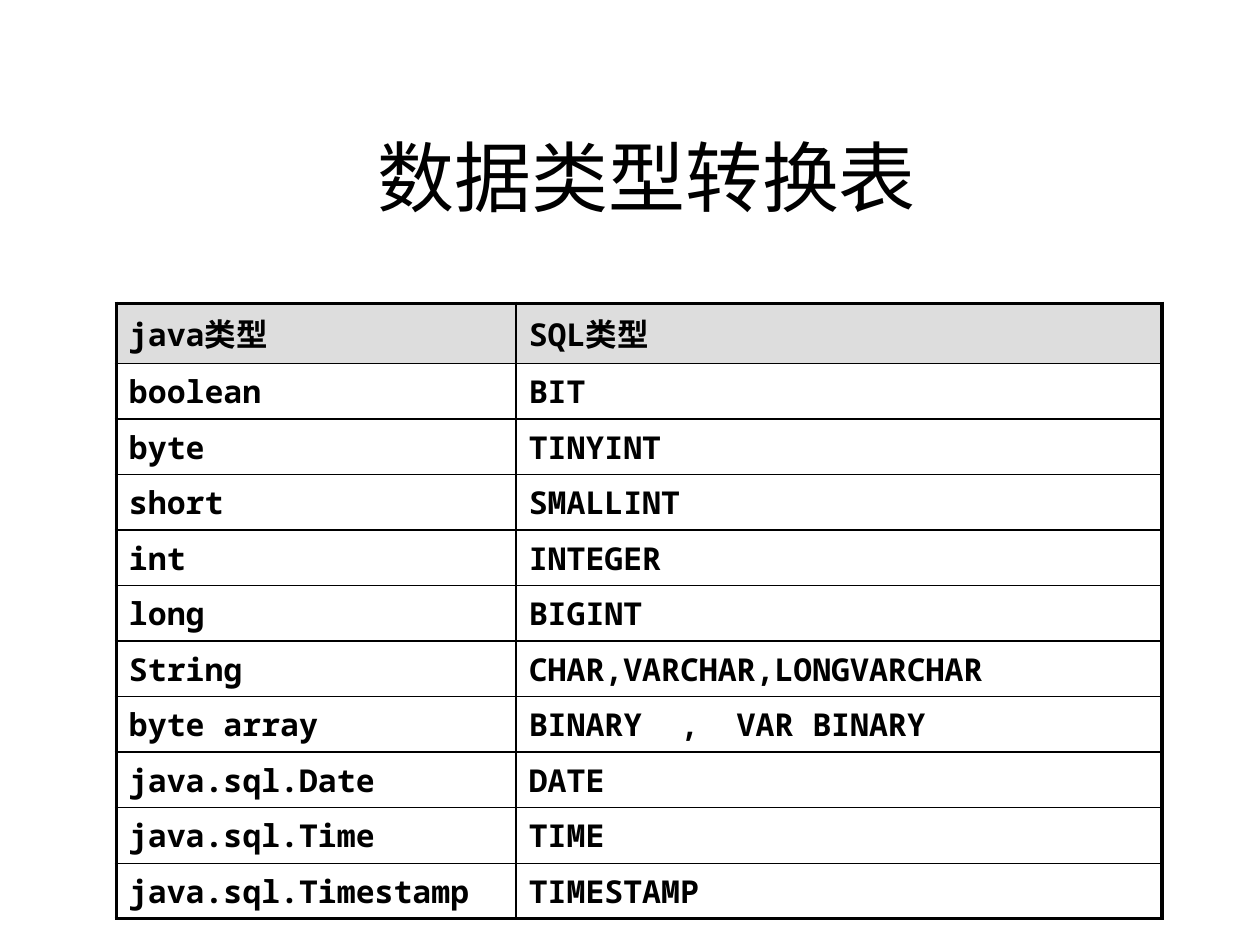
from lxml import etree
from pptx import Presentation
from pptx.dml.color import RGBColor
from pptx.enum import text
from pptx.oxml import ns
from pptx.util import Pt

COLORS = {"ink": "000000", "header": "DDDDDD"}
FONT = "Noto Sans Mono"
THIN, THICK = 1, 2.25

TYPES = [
    ("java类型", "SQL类型"),
    ("boolean", "BIT"),
    ("byte", "TINYINT"),
    ("short", "SMALLINT"),
    ("int", "INTEGER"),
    ("long", "BIGINT"),
    ("String", "CHAR,VARCHAR,LONGVARCHAR"),
    ("byte array", "BINARY  ,  VAR BINARY"),
    ("java.sql.Date", "DATE"),
    ("java.sql.Time", "TIME"),
    ("java.sql.Timestamp", "TIMESTAMP"),
]


def write(tf, words, size=18, bold=False, align=text.PP_ALIGN.LEFT):
    p = tf.paragraphs[0]
    p.alignment = align
    r = p.add_run()
    r.text = words
    r.font.name = FONT
    r.font.size = Pt(size)
    r.font.bold = bold
    r.font.color.rgb = RGBColor.from_string(COLORS["ink"])


def set_borders(cell, widths):
    """Draw the cell's sides; widths maps L, R, T, B to points."""
    tc_pr = cell._tc.get_or_add_tcPr()
    for i, side in enumerate("LRTB"):
        ln = etree.Element(ns.qn(f"a:ln{side}"), w=str(Pt(widths[side])))
        fill = etree.SubElement(ln, ns.qn("a:solidFill"))
        etree.SubElement(fill, ns.qn("a:srgbClr"), val=COLORS["ink"])
        tc_pr.insert(i, ln)


def add_title(s, words, left, top, width, height):
    sp = s.shapes.title
    sp.left, sp.top, sp.width, sp.height = map(Pt, (left, top, width, height))
    sp.text_frame.vertical_anchor = text.MSO_ANCHOR.MIDDLE
    write(sp.text_frame, words, size=44, align=text.PP_ALIGN.CENTER)


def add_type_table(s, rows, left, top, width, height, first_col, header_height):
    last_row, last_col = len(rows) - 1, len(rows[0]) - 1
    frame = s.shapes.add_table(len(rows), len(rows[0]),
                               *map(Pt, (left, top, width, height)))
    table = frame.table
    table.horz_banding = False
    table.columns[0].width = Pt(first_col)
    table.columns[1].width = Pt(width - first_col)
    row_height = (height - header_height) / last_row

    for i, row in enumerate(rows):
        table.rows[i].height = Pt(row_height if i else header_height)
        for j, words in enumerate(row):
            cell = table.cell(i, j)
            write(cell.text_frame, words, bold=True)
            # Grey header, open body
            if i == 0:
                cell.fill.solid()
                cell.fill.fore_color.rgb = RGBColor.from_string(COLORS["header"])
            else:
                cell.fill.background()
            # Thick outline, thin inner lines
            outer = {"L": j == 0, "R": j == last_col,
                     "T": i == 0, "B": i == last_row}
            set_borders(cell, {k: THICK if v else THIN for k, v in outer.items()})


def main():
    prs = Presentation()
    prs.slide_width, prs.slide_height = Pt(720), Pt(540)
    s = prs.slides.add_slide(prs.slide_layouts[5])
    add_title(s, "数据类型转换表", 201.6, 55.5, 336, 90)
    add_type_table(s, TYPES, 66.5, 173.3, 597.5, 351.5,
                   first_col=228.5, header_height=34.5)
    prs.save("out.pptx")


if __name__ == "__main__":
    main()
